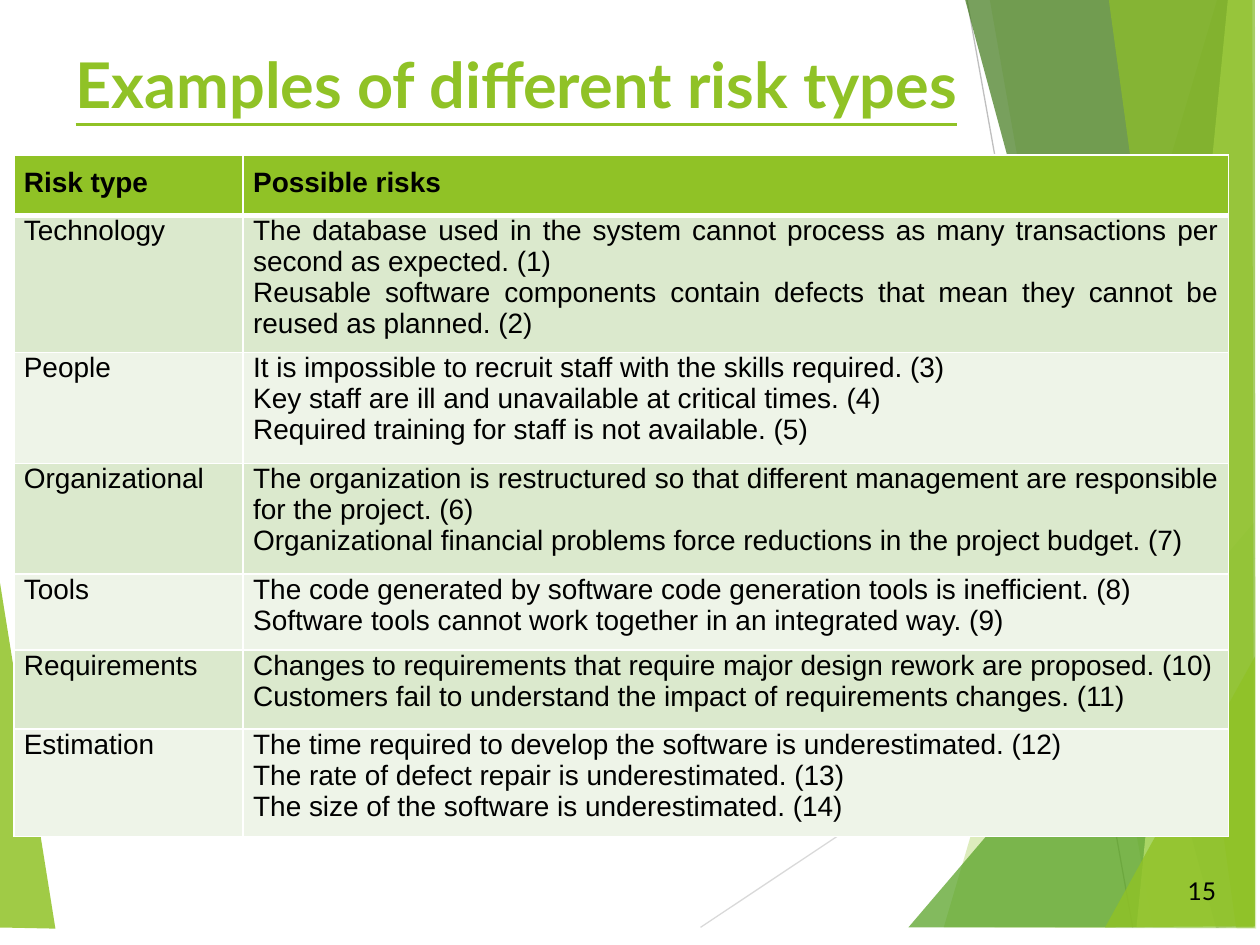
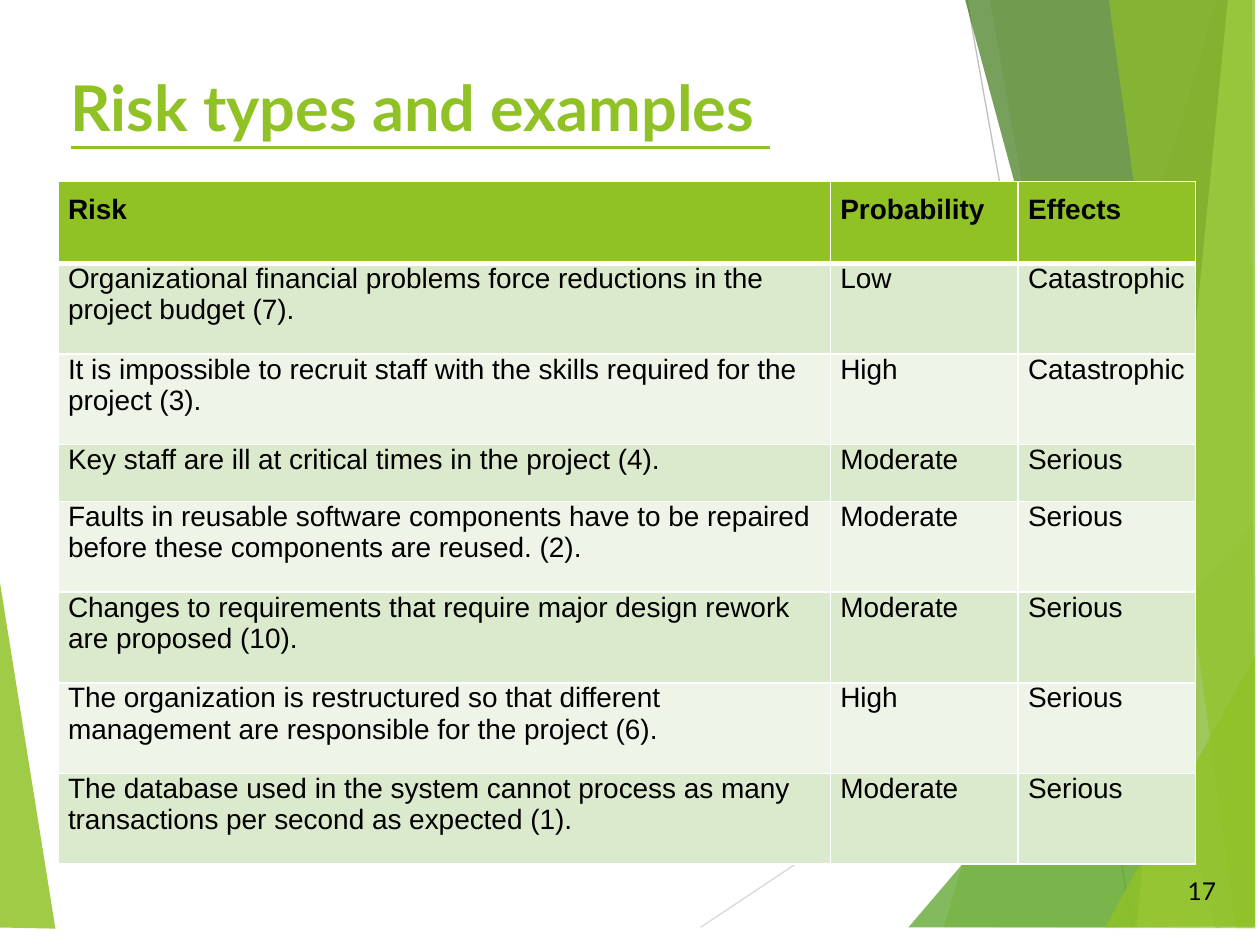
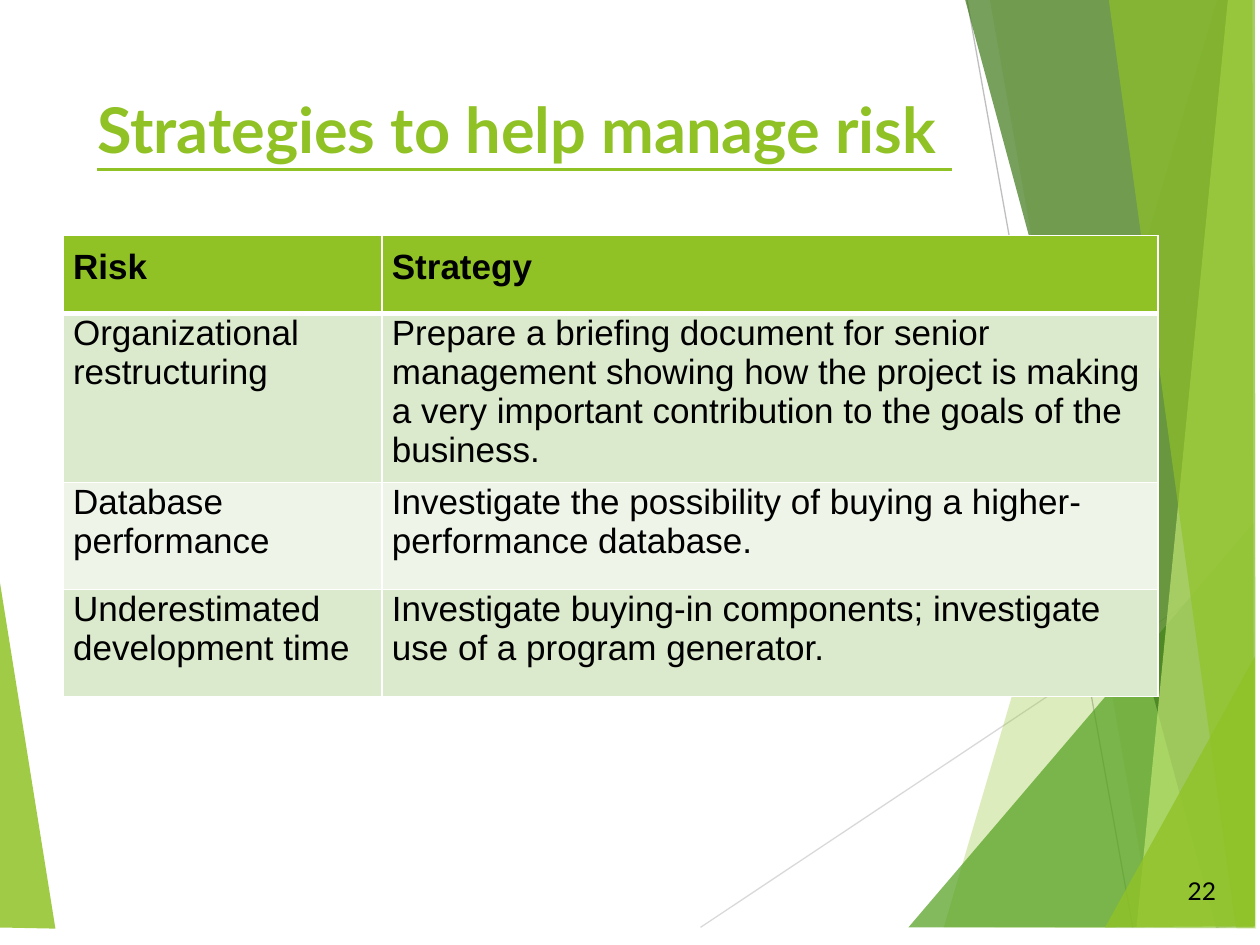
from lxml.etree import SubElement
from pptx import Presentation
from pptx.dml.color import RGBColor as RGB
from pptx.enum.shapes import MSO_CONNECTOR as CONN
from pptx.enum.text import MSO_ANCHOR as ANCHOR, MSO_AUTO_SIZE as FIT, PP_ALIGN as ALIGN
from pptx.oxml.ns import qn
from pptx.util import Inches, Pt

COLORS = {
    "lime": "90C226", "green": "54A021", "forest": "3F7819", "pale": "C0E474",
    "band_dark": "DBE9CD", "band_light": "EEF4E8", "white": "FFFFFF",
    "black": "000000", "line_light": "D9D9D9", "line_mid": "BFBFBF",
}
TITLE_FONT, TABLE_FONT = "Lato", "Arial"

RAYS = [
    ("line_light", (5.56, 7.36), (9.96, 4.43)),
    ("line_mid", (7.65, -0.14), (8.99, 7.36)),
]
LEFT_FACET = ("lime", 85, [(-0.06, 4.25), (0.44, 7.37), (-0.06, 7.36)])
RIGHT_FACETS = [
    ("lime", 30, [(9.7, -0.14), (7.49, 7.36), (9.97, 7.37), (9.96, -0.13)]),
    ("lime", 20, [(7.83, -0.15), (9.15, 7.36), (9.96, 7.36), (9.96, -0.15)]),
    ("green", 72, [(7.21, 7.36), (9.95, 4.15), (9.96, 7.36)]),
    ("forest", 70, [(7.62, -0.15), (9.65, 7.36), (9.96, 7.35), (9.96, -0.15)]),
    ("pale", 70, [(9.76, -0.15), (9.02, 7.36), (9.96, 7.36), (9.96, -0.15)]),
    ("lime", 65, [(8.78, -0.15), (9.81, 7.36), (9.95, 7.36), (9.94, -0.15)]),
    ("lime", 80, [(8.77, 7.36), (9.96, 5.21), (9.96, 7.35)]),
]

RISK_TYPES = [
    ("Risk type", "Possible risks"),
    ("Technology",
     "The database used in the system cannot process as many transactions per second "
     "as expected. (1)\n"
     "Reusable software components contain defects that mean they cannot be reused "
     "as planned. (2)"),
    ("People",
     "It is impossible to recruit staff with the skills required. (3)\n"
     "Key staff are ill and unavailable at critical times. (4)\n"
     "Required training for staff is not available. (5)"),
    ("Organizational",
     "The organization is restructured so that different management are responsible "
     "for the project. (6)\n"
     "Organizational financial problems force reductions in the project budget. (7)"),
    ("Tools",
     "The code generated by software code generation tools is inefficient. (8)\n"
     "Software tools cannot work together in an integrated way. (9)"),
    ("Requirements",
     "Changes to requirements that require major design rework are proposed. (10)\n"
     "Customers fail to understand the impact of requirements changes. (11)"),
    ("Estimation",
     "The time required to develop the software is underestimated. (12)\n"
     "The rate of defect repair is underestimated. (13)\n"
     "The size of the software is underestimated. (14)"),
]
RISK_RATINGS = [
    ("Risk", "Probability", "Effects"),
    ("Organizational financial problems force reductions in the project budget (7).",
     "Low", "Catastrophic"),
    ("It is impossible to recruit staff with the skills required for the project (3).",
     "High", "Catastrophic"),
    ("Key staff are ill at critical times in the project (4).", "Moderate", "Serious"),
    ("Faults in reusable software components have to be repaired before these "
     "components are reused. (2).", "Moderate", "Serious"),
    ("Changes to requirements that require major design rework are proposed (10).",
     "Moderate", "Serious"),
    ("The organization is restructured so that different management are responsible "
     "for the project (6).", "High", "Serious"),
    ("The database used in the system cannot process as many transactions per second "
     "as expected (1).", "Moderate", "Serious"),
]
STRATEGIES = [
    ("Risk", "Strategy"),
    ("Organizational restructuring",
     "Prepare a briefing document for senior management showing how the project is "
     "making a very important contribution to the goals of the business."),
    ("Database performance",
     "Investigate the possibility of buying a higher-performance database."),
    ("Underestimated development time",
     "Investigate buying-in components; investigate use of a program generator."),
]


def rgb(name):
    """Return the named colour."""
    return RGB.from_string(COLORS[name])


def put_text(tf, text, size=16, font=TABLE_FONT, color="black", bold=False,
             underline=False, align=ALIGN.LEFT):
    """Write text into a frame, one paragraph for each line."""
    for i, line in enumerate(text.split("\n")):
        p = tf.add_paragraph() if i else tf.paragraphs[0]
        p.alignment = align
        r = p.add_run()
        r.text = line
        f = r.font
        f.size, f.name, f.bold, f.underline = Pt(size), font, bold, underline
        f.color.rgb = rgb(color)


def add_ray(shapes, color, start, end):
    """Draw a thin background line."""
    sp = shapes.add_connector(CONN.STRAIGHT, *map(Inches, start + end))
    sp.line.color.rgb = rgb(color)
    sp.line.width = Pt(0.75)
    SubElement(sp.element.spPr, qn("a:effectLst"))


def add_facet(shapes, color, opacity, points):
    """Draw a translucent background polygon."""
    start, *rest = [(Inches(x), Inches(y)) for x, y in points]
    builder = shapes.build_freeform(*start)
    builder.add_line_segments(rest, close=True)
    sp = builder.convert_to_shape()
    sp.shadow.inherit = False
    sp.fill.solid()
    sp.fill.fore_color.rgb = rgb(color)
    clr = sp.element.spPr.find(".//" + qn("a:srgbClr"))
    SubElement(clr, qn("a:alpha"), val=str(opacity * 1000))
    sp.line.fill.background()


def decorate_layout(layout, slide):
    """Draw the facets on a slide and move them to its layout."""
    for ph in list(layout.placeholders)[1:]:
        ph.element.getparent().remove(ph.element)
    kept = len(slide.shapes)
    add_facet(slide.shapes, *LEFT_FACET)
    for ray in RAYS:
        add_ray(slide.shapes, *ray)
    for facet in RIGHT_FACETS:
        add_facet(slide.shapes, *facet)
    for sp in list(slide.shapes)[kept:]:
        layout.shapes.element.append(sp.element)


def set_title(slide, text, box):
    """Place and format the slide title."""
    sp = slide.shapes.title
    sp.left, sp.top, sp.width, sp.height = map(Inches, box)
    tf = sp.text_frame
    tf.auto_size, tf.vertical_anchor = FIT.NONE, ANCHOR.TOP
    put_text(tf, text, size=36, font=TITLE_FONT, color="lime", bold=True, underline=True)


def set_borders(cell, row):
    """Give a cell white borders, thick below the header row."""
    tcPr = cell._tc.get_or_add_tcPr()
    widths = {"L": 1, "R": 1, "T": 3 if row == 1 else 1, "B": 3 if row == 0 else 1}
    for side, width in widths.items():
        ln = SubElement(tcPr, qn("a:ln" + side), w=str(Pt(width)))
        fill = SubElement(ln, qn("a:solidFill"))
        SubElement(fill, qn("a:srgbClr"), val=COLORS["white"])


def add_risk_table(slide, data, left, top, cols, rows, **fmt):
    """Add a banded table with a lime header row."""
    frame = slide.shapes.add_table(len(rows), len(cols), Inches(left), Inches(top),
                                   Inches(sum(cols)), Inches(sum(rows)))
    table = frame.table
    table.horz_banding = False
    for col, width in zip(table.columns, cols):
        col.width = Inches(width)
    for i, (row, height) in enumerate(zip(table.rows, rows)):
        row.height = Inches(height)
        band = "lime" if i == 0 else "band_dark" if i % 2 else "band_light"
        for cell, text in zip(row.cells, data[i]):
            cell.margin_left = cell.margin_right = Inches(0.08)
            cell.margin_top = Inches(0 if i else 0.1)
            cell.margin_bottom = Inches(0.1)
            set_borders(cell, i)
            cell.fill.solid()
            cell.fill.fore_color.rgb = rgb(band)
            put_text(cell.text_frame, text, bold=i == 0, **fmt)


def add_page_number(slide, number):
    """Write the page number in the bottom right corner."""
    sp = slide.shapes.add_textbox(*map(Inches, (9.19, 6.87, 0.56, 0.4)))
    tf = sp.text_frame
    tf.word_wrap, tf.vertical_anchor = True, ANCHOR.MIDDLE
    put_text(tf, str(number), size=14, font=TITLE_FONT, align=ALIGN.RIGHT)


def main():
    """Build the three risk slides."""
    prs = Presentation()
    prs.slide_width, prs.slide_height = Inches(10), Inches(7.5)
    layout = prs.slide_layouts[5]
    types, ratings, strategies = [prs.slides.add_slide(layout) for _ in range(3)]
    decorate_layout(layout, types)

    set_title(types, "Examples of different risk types", (0.5, 0.31, 8.41, 0.92))
    add_risk_table(types, RISK_TYPES, 0.11, 1.23, [1.82, 7.82],
                   [0.48, 1.08, 0.88, 0.88, 0.6, 0.63, 0.85], align=ALIGN.JUSTIFY)
    add_page_number(types, 15)

    set_title(ratings, "Risk types and examples ", (0.46, 0.49, 7.63, 1.15))
    add_risk_table(ratings, RISK_RATINGS, 0.46, 1.44, [6.13, 1.49, 1.41],
                   [0.65, 0.72, 0.72, 0.45] + [0.72] * 4)
    add_page_number(ratings, 17)

    set_title(strategies, "Strategies to help manage risk ", (0.67, 0.67, 8.41, 1.44))
    add_risk_table(strategies, STRATEGIES, 0.5, 1.87, [2.53, 6.16],
                   [0.62, 1.34, 0.85, 0.85], size=20)
    add_page_number(strategies, 22)

    prs.save("out.pptx")


if __name__ == "__main__":
    main()
